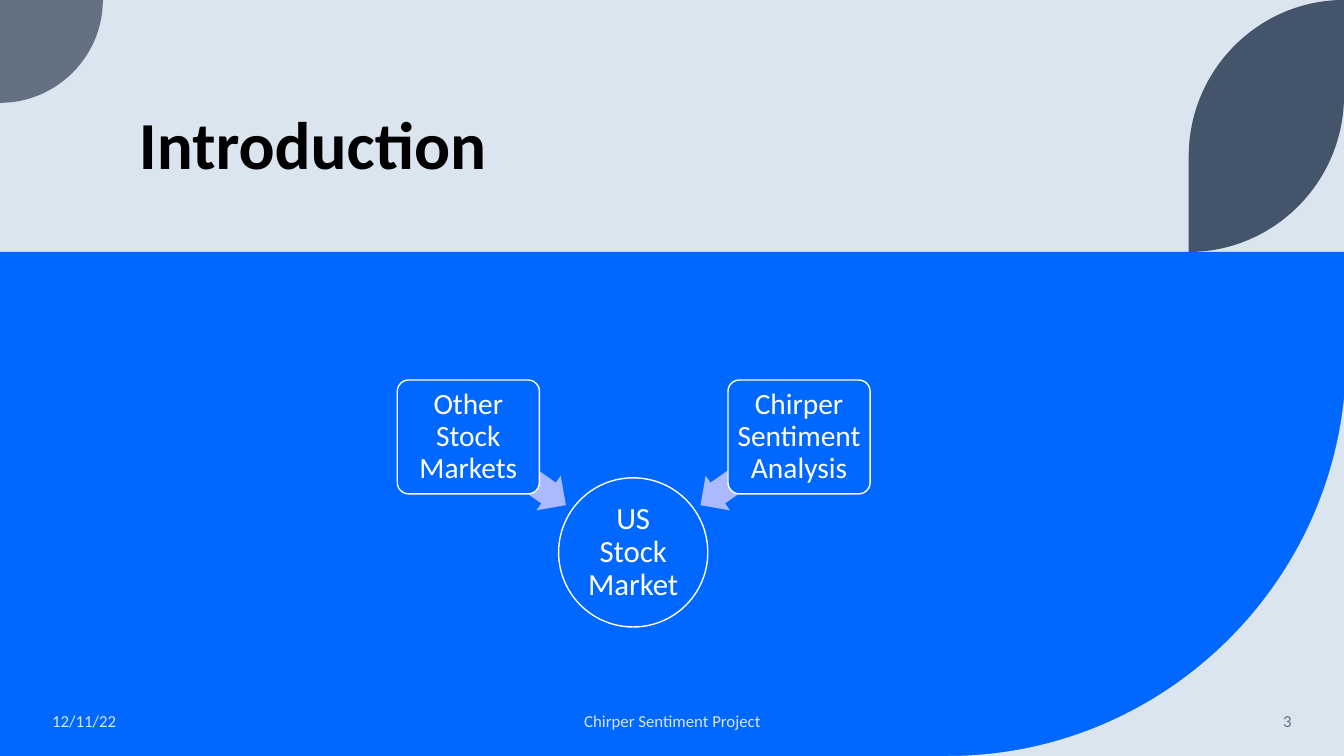
from dataclasses import dataclass

import pptx
import pptx.dml.color
import pptx.enum.shapes
import pptx.enum.text
import pptx.oxml.ns
import pptx.util
from lxml import etree
from pptx.util import Inches

SHAPE = pptx.enum.shapes.MSO_SHAPE
ALIGN = pptx.enum.text.PP_ALIGN
ANCHOR = pptx.enum.text.MSO_ANCHOR


@dataclass(frozen=True)
class Theme:
    font: str = "Calibri"
    pale: str = "DAE5EF"
    blue: str = "0068FF"
    slate: str = "637183"
    navy: str = "44546A"
    lilac: str = "ABB9FF"
    white: str = "FFFFFF"
    black: str = "000000"
    title_size: int = 48
    target_size: int = 22
    source_size: int = 21
    footer_size: int = 12


THEME = Theme()
WIDTH, HEIGHT = 13.33, 7.5
BAND_TOP, BAND_WIDTH = 2.5, 13.35
ROUNDNESS = 0.55


def rgb(color):
    return pptx.dml.color.RGBColor.from_string(color)


def paint(shape, fill, line=None):
    shape.shadow.inherit = False
    shape.fill.solid()
    shape.fill.fore_color.rgb = rgb(fill)
    if line:
        shape.line.color.rgb = rgb(line)
        shape.line.width = pptx.util.Pt(1)
    else:
        shape.line.fill.background()


def write(shape, text, size, color, align=ALIGN.LEFT, anchor=ANCHOR.MIDDLE,
          bold=False, spacing=None, inset=None):
    frame = shape.text_frame
    frame.word_wrap = True
    frame.vertical_anchor = anchor
    if inset is not None:
        frame.margin_left = frame.margin_right = Inches(inset)
        frame.margin_top = frame.margin_bottom = Inches(inset)
    para = frame.paragraphs[0]
    para.alignment = align
    if spacing:
        para.line_spacing = spacing
    span = para.add_run()
    span.text = text
    span.font.name = THEME.font
    span.font.size = pptx.util.Pt(size)
    span.font.bold = bold
    span.font.color.rgb = rgb(color)


def add_label(page, left, top, width, height, text, size, color, **style):
    box = page.shapes.add_textbox(
        Inches(left), Inches(top), Inches(width), Inches(height))
    write(box, text, size, color, **style)


def add_preset(page, kind, left, top, width, height, fill, line=None):
    shape = page.shapes.add_shape(
        kind, Inches(left), Inches(top), Inches(width), Inches(height))
    paint(shape, fill, line)
    return shape


def quarter_curve(start, corner, end):
    """Bezier controls and end of a quarter circle bulging towards the corner."""
    controls = [tuple(a + ROUNDNESS * (b - a) for a, b in zip(point, corner))
                for point in (start, end)]
    return controls + [end]


def add_outline(page, start, segments, fill):
    """Draw lines (one point) and Bezier curves (three points) as one shape."""
    builder = page.shapes.build_freeform(Inches(start[0]), Inches(start[1]))
    builder.add_line_segments(
        [(Inches(x), Inches(y)) for segment in segments for x, y in segment])
    shape = builder.convert_to_shape()
    lines = iter(list(shape.element.iter(pptx.oxml.ns.qn("a:lnTo"))))
    for segment in segments:
        steps = [next(lines) for _ in segment]
        if len(steps) == 3:
            curve = etree.Element(pptx.oxml.ns.qn("a:cubicBezTo"))
            steps[0].addprevious(curve)
            for step in steps:
                curve.append(step[0])
                step.getparent().remove(step)
    paint(shape, fill)


def add_backdrop(page):
    page.background.fill.solid()
    page.background.fill.fore_color.rgb = rgb(THEME.pale)
    add_preset(page, SHAPE.RECTANGLE, 0, BAND_TOP, BAND_WIDTH, HEIGHT - BAND_TOP,
               THEME.blue)

    corner = (BAND_WIDTH, HEIGHT)
    right, bottom = (BAND_WIDTH, 3.55), (9.4, HEIGHT)
    add_outline(page, right, [quarter_curve(right, corner, bottom), [corner]], THEME.pale)

    right, bottom = (1.02, 0), (0, 1.02)
    add_outline(page, (0, 0), [[right], quarter_curve(right, (1.02, 1.02), bottom)],
                THEME.slate)

    tip, right = (WIDTH, 0), (WIDTH, 0.95)
    foot, left = (11.79, BAND_TOP), (11.79, 1.55)
    add_outline(page, tip, [[right], quarter_curve(right, (WIDTH, BAND_TOP), foot),
                            [left], quarter_curve(left, (11.79, 0), tip)], THEME.navy)


def add_source(page, left, arrow_left, rotation, text):
    """A rounded box with the arrow that leads from it to the target."""
    arrow = add_preset(page, SHAPE.LEFT_ARROW, arrow_left, 4.46, 1.19, 0.42, THEME.lilac)
    arrow.adjustments[0] = 0.6
    arrow.adjustments[1] = 0.5
    arrow.rotation = rotation
    box = add_preset(page, SHAPE.ROUNDED_RECTANGLE, left, 3.77, 1.41, 1.13,
                     THEME.blue, THEME.white)
    box.adjustments[0] = 0.1
    write(box, text, THEME.source_size, THEME.white,
          align=ALIGN.CENTER, spacing=0.9, inset=0.04)


def add_diagram(page):
    target = add_preset(page, SHAPE.OVAL, 5.54, 4.74, 1.48, 1.48, THEME.blue, THEME.white)
    write(target, "US Stock Market", THEME.target_size, THEME.white,
          align=ALIGN.CENTER, spacing=0.9, inset=0.02)
    add_source(page, 3.94, 4.53, 215, "Other Stock Markets")
    add_source(page, 7.22, 6.84, 325, "Chirper Sentiment Analysis")


def add_footer(page):
    for left, width, text, color, align in (
        (0.42, 3, "12/11/22", THEME.pale, ALIGN.LEFT),
        (4.42, 4.5, "Chirper Sentiment Project", THEME.pale, ALIGN.CENTER),
        (11.16, 1.75, "3", THEME.slate, ALIGN.RIGHT),
    ):
        add_label(page, left, 6.95, width, 0.4, text, THEME.footer_size, color, align=align)


def main():
    deck = pptx.Presentation()
    deck.slide_width, deck.slide_height = Inches(WIDTH), Inches(HEIGHT)
    page = deck.slides.add_slide(deck.slide_layouts[6])
    add_backdrop(page)
    add_label(page, 1.28, 0.42, 10.69, 1.45, "Introduction", THEME.title_size,
              THEME.black, anchor=ANCHOR.BOTTOM, bold=True, spacing=0.9)
    add_footer(page)
    add_diagram(page)
    deck.save("out.pptx")


if __name__ == "__main__":
    main()
